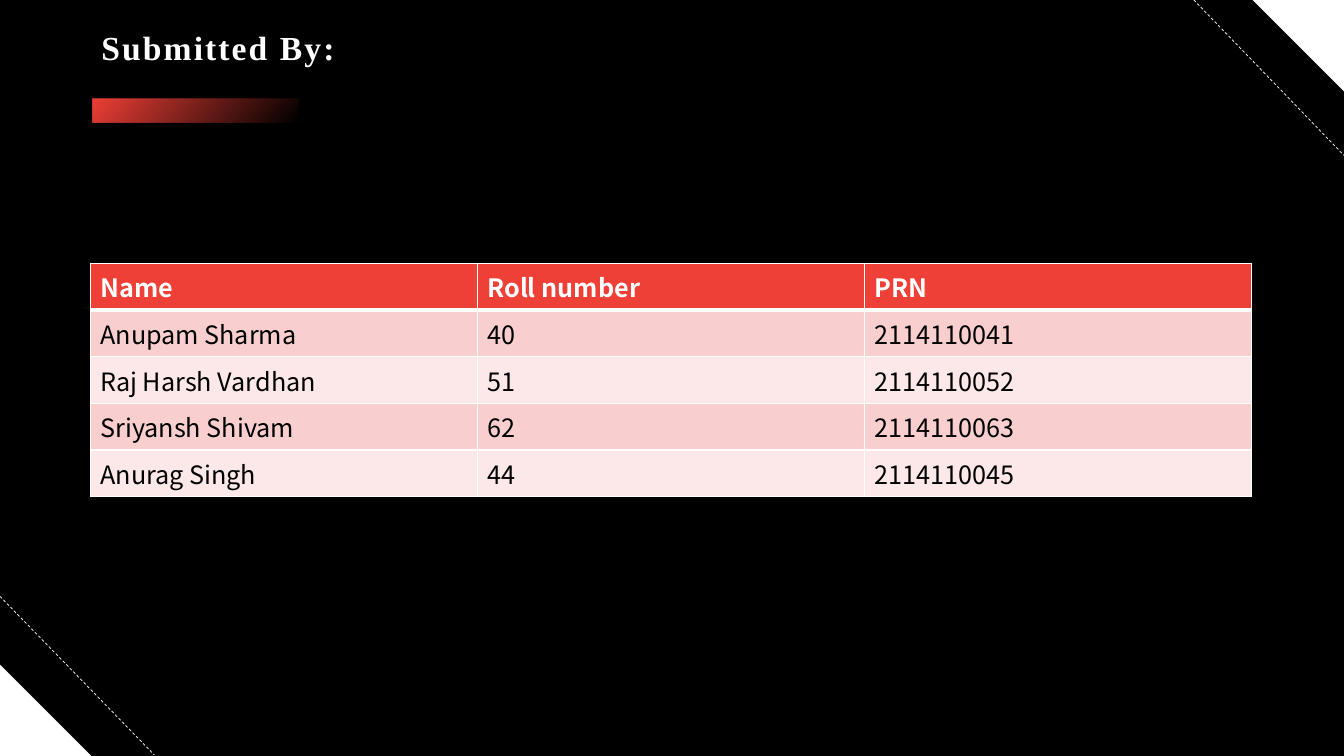
import dataclasses

import pptx
import pptx.dml.color
import pptx.enum.dml
import pptx.enum.shapes
import pptx.enum.text
import pptx.oxml
import pptx.oxml.ns
import pptx.util

PX = 9525
SLIDE_WIDTH, SLIDE_HEIGHT = 1280, 720
CORNER = 87


@dataclasses.dataclass(frozen=True)
class Theme:
    """Colours, fonts and type sizes of the slide."""

    black: str = "000000"
    white: str = "FFFFFF"
    red: str = "EE4036"
    bands: tuple = ("F8CFCE", "FCE8E8")
    title_font: str = "Times New Roman"
    table_font: str = "Noto Sans CJK JP"
    title_size: int = 24
    table_size: int = 18


THEME = Theme()
STUDENTS = [
    ("Name", "Roll number", "PRN"),
    ("Anupam Sharma", "40", "2114110041"),
    ("Raj Harsh Vardhan", "51", "2114110052"),
    ("Sriyansh Shivam", "62", "2114110063"),
    ("Anurag Singh", "44", "2114110045"),
]


def px(*lengths):
    """Turn pixel lengths into EMU."""
    return [pptx.util.Emu(length * PX) for length in lengths]


def rgb(value):
    """Turn a hex string into a colour."""
    return pptx.dml.color.RGBColor.from_string(value)


def set_fill(fill, color):
    """Give a fill one solid colour."""
    fill.solid()
    fill.fore_color.rgb = rgb(color)


def set_font(font, name, size, color, bold):
    """Format the font of a run."""
    font.name = name
    font.size = pptx.util.Pt(size)
    font.color.rgb = rgb(color)
    font.bold = bold


def add_shape(slide, kind, left, top, width, height):
    """Add a preset shape without outline or shadow."""
    shape = slide.shapes.add_shape(kind, *px(left, top, width, height))
    shape.shadow.inherit = False
    shape.line.fill.background()
    return shape


def add_corner(slide, left, top, rotation):
    """Add a white corner triangle."""
    kind = pptx.enum.shapes.MSO_SHAPE.RIGHT_TRIANGLE
    triangle = add_shape(slide, kind, left, top, CORNER, CORNER)
    triangle.rotation = rotation
    set_fill(triangle.fill, THEME.white)


def add_dashed_line(slide, *ends):
    """Add a thin dashed white line."""
    kind = pptx.enum.shapes.MSO_CONNECTOR.STRAIGHT
    connector = slide.shapes.add_connector(kind, *px(*ends))
    connector.line.color.rgb = rgb(THEME.white)
    connector.line.width = pptx.util.Pt(0.5)
    connector.line.dash_style = pptx.enum.dml.MSO_LINE.DASH
    properties = connector.element.spPr
    properties.append(properties.makeelement(pptx.oxml.ns.qn("a:effectLst"), {}))


def add_fading_bar(slide, left, top, width, height):
    """Add a red bar that fades to transparent."""
    kind = pptx.enum.shapes.MSO_SHAPE.RECTANGLE
    bar = add_shape(slide, kind, left, top, width, height)
    bar.fill.gradient()
    bar.fill.gradient_angle = 320
    for stop, position in zip(bar.fill.gradient_stops, (0, 0.99)):
        stop.color.rgb = rgb(THEME.red)
        stop.position = position
    color = bar.element.spPr.xpath(".//a:gs/a:srgbClr")[-1]
    color.append(color.makeelement(pptx.oxml.ns.qn("a:alpha"), {"val": "0"}))


def set_title(slide, text, left, top, width, height):
    """Place, fill and format the title placeholder."""
    title = slide.shapes.title
    title.left, title.top, title.width, title.height = px(left, top, width, height)
    frame = title.text_frame
    frame.text = text
    frame.word_wrap = True
    frame.auto_size = pptx.enum.text.MSO_AUTO_SIZE.NONE
    frame.vertical_anchor = pptx.enum.text.MSO_ANCHOR.MIDDLE
    paragraph = frame.paragraphs[0]
    paragraph.alignment = pptx.enum.text.PP_ALIGN.LEFT
    paragraph.line_spacing = 0.9
    run = paragraph.runs[0]
    set_font(run.font, THEME.title_font, THEME.title_size, THEME.white, True)
    run.font._element.set("spc", "150")


def set_borders(cell, widths):
    """Draw white cell borders, widths in points by side."""
    properties = cell._tc.get_or_add_tcPr()
    for index, (side, width) in enumerate(widths.items()):
        border = pptx.oxml.parse_xml(
            f'<a:ln{side} {pptx.oxml.ns.nsdecls("a")} w="{pptx.util.Pt(width)}">'
            f'<a:solidFill><a:srgbClr val="{THEME.white}"/></a:solidFill></a:ln{side}>'
        )
        properties.insert(index, border)


def add_table(slide, rows, left, top, width, row_height):
    """Add a table with a red header and banded rows."""
    frame = slide.shapes.add_table(
        len(rows), len(rows[0]), *px(left, top, width, row_height * len(rows))
    )
    for row_index, row in enumerate(rows):
        header = row_index == 0
        fill = THEME.red if header else THEME.bands[(row_index - 1) % 2]
        color = THEME.white if header else THEME.black
        widths = {"L": 1, "R": 1, "T": 3 if row_index == 1 else 1, "B": 3 if header else 1}
        for column_index, text in enumerate(row):
            cell = frame.table.cell(row_index, column_index)
            cell.text_frame.text = text
            run = cell.text_frame.paragraphs[0].runs[0]
            set_font(run.font, THEME.table_font, THEME.table_size, color, header)
            set_fill(cell.fill, fill)
            set_borders(cell, widths)


def main():
    """Build and save the slide."""
    presentation = pptx.Presentation()
    presentation.slide_width, presentation.slide_height = px(SLIDE_WIDTH, SLIDE_HEIGHT)
    slide = presentation.slides.add_slide(presentation.slide_layouts[5])
    set_fill(slide.background.fill, THEME.black)
    add_corner(slide, 0, SLIDE_HEIGHT - CORNER, 0)
    add_corner(slide, SLIDE_WIDTH - CORNER, 0, 180)
    add_dashed_line(slide, 0, 568, 147, 719)
    add_dashed_line(slide, 1137, 0, 1280, 148)
    add_fading_bar(slide, 88, 94, 196, 23)
    set_title(slide, "Submitted By:", 87, 17, 1105, 61)
    add_table(slide, STUDENTS, 86, 251, 1106, 39)
    presentation.save("out.pptx")


if __name__ == "__main__":
    main()
